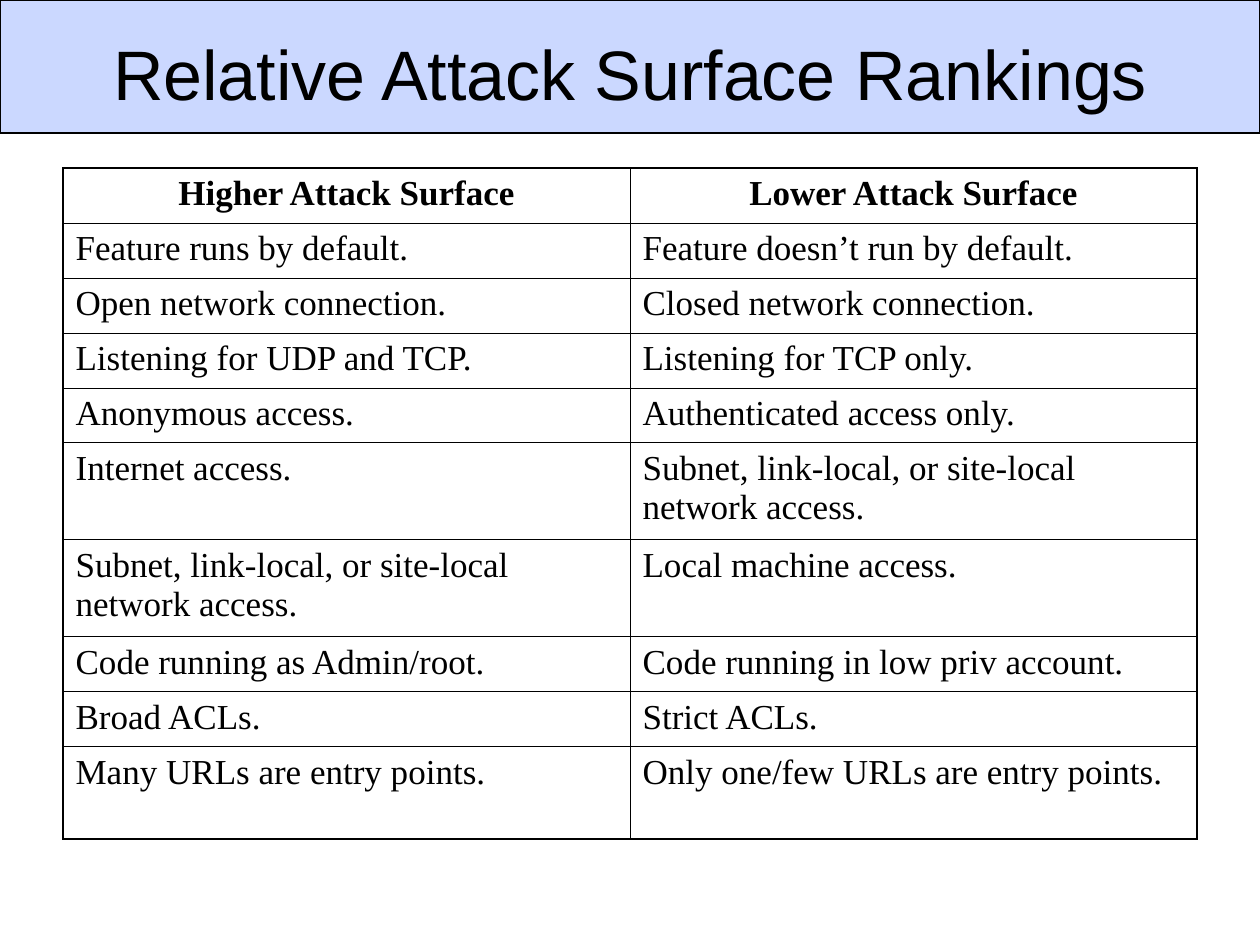
from lxml.etree import SubElement
from pptx import Presentation
from pptx.dml.color import RGBColor
from pptx.enum.shapes import MSO_SHAPE
from pptx.enum.text import MSO_ANCHOR, PP_ALIGN
from pptx.oxml import parse_xml
from pptx.oxml.ns import nsdecls, qn
from pptx.util import Emu, Pt

BLACK = RGBColor(0x00, 0x00, 0x00)
BLUE = RGBColor(0x33, 0x66, 0xFF)
THIN, THICK = Pt(0.45), Pt(1.08)

RANKINGS = [
    ("Higher Attack Surface", "Lower Attack Surface"),
    ("Feature runs by default.", "Feature doesn’t run by default."),
    ("Open network connection.", "Closed network connection."),
    ("Listening for UDP and TCP.", "Listening for TCP only."),
    ("Anonymous access.", "Authenticated access only."),
    ("Internet access.", "Subnet, link-local, or site-local network access."),
    ("Subnet, link-local, or site-local network access.", "Local machine access."),
    ("Code running as Admin/root.", "Code running in low priv account."),
    ("Broad ACLs.", "Strict ACLs."),
    ("Many URLs are entry points.", "Only one/few URLs are entry points."),
]
ROW_HEIGHTS = [55] * 5 + [97] * 2 + [55] * 2 + [92]


def px(n):
    return Emu(round(n * 914400 / 126))


class Deck:
    """Hold the text style and the current slide."""

    def __init__(self, title_font, body_font):
        self.title_font, self.body_font = title_font, body_font
        self.prs = Presentation()
        self.prs.slide_width, self.prs.slide_height = px(1260), px(945)
        self.s = self.prs.slides.add_slide(self.prs.slide_layouts[5])

    def style(self, p, name, size, bold=False, align=PP_ALIGN.LEFT):
        p.alignment = align
        p.font.name, p.font.size, p.font.bold = name, Pt(size), bold
        p.font.color.rgb = BLACK

    def band(self, x, y, w, h, color, opacity):
        sp = self.s.shapes.add_shape(MSO_SHAPE.RECTANGLE, px(x), px(y), px(w), px(h))
        sp.shadow.inherit = False
        sp.fill.solid()
        sp.fill.fore_color.rgb = color
        clr = sp.fill._xPr.find(".//" + qn("a:srgbClr"))
        SubElement(clr, qn("a:alpha"), val=str(opacity * 1000))
        sp.line.color.rgb, sp.line.width = BLACK, Pt(0.75)
        self.s.shapes._spTree.insert(2, sp._element)

    def title(self, text, x, y, w, h):
        sp = self.s.shapes.title
        sp.left, sp.top, sp.width, sp.height = px(x), px(y), px(w), px(h)
        tf = sp.text_frame
        tf.text, tf.vertical_anchor = text, MSO_ANCHOR.MIDDLE
        self.style(tf.paragraphs[0], self.title_font, 40, align=PP_ALIGN.CENTER)

    def borders(self, cell, **widths):
        tc_pr = cell._tc.get_or_add_tcPr()
        for side, width in widths.items():
            tc_pr.append(parse_xml(
                f'<a:ln{side} {nsdecls("a")} w="{width}"><a:solidFill>'
                f'<a:srgbClr val="{BLACK}"/></a:solidFill></a:ln{side}>'))

    def table(self, rows, heights, x, y, w):
        last_row, last_col = len(rows) - 1, len(rows[0]) - 1
        frame = self.s.shapes.add_table(len(rows), len(rows[0]), px(x), px(y),
                                        px(w), px(sum(heights)))
        table = frame.table
        table.first_row = table.horz_banding = False
        for i, (texts, height) in enumerate(zip(rows, heights)):
            table.rows[i].height = px(height)
            for j, text in enumerate(texts):
                cell = table.cell(i, j)
                cell.text = text
                p = cell.text_frame.paragraphs[0]
                p.space_before = Pt(5)
                self.style(p, self.body_font, 20, bold=i == 0,
                           align=PP_ALIGN.LEFT if i else PP_ALIGN.CENTER)
                self.borders(cell,
                             L=THIN if j else THICK,
                             R=THICK if j == last_col else THIN,
                             T=THIN if i else THICK,
                             B=THICK if i == last_row else THIN)
                cell.fill.background()


def main():
    deck = Deck("Arial", "Times New Roman")
    deck.band(0, 0, 1260, 133, BLUE, 25)
    deck.title("Relative Attack Surface Rankings", 63, 20, 1134, 105)
    deck.table(RANKINGS, ROW_HEIGHTS, 63, 168, 1134)
    deck.prs.save("out.pptx")


if __name__ == "__main__":
    main()
